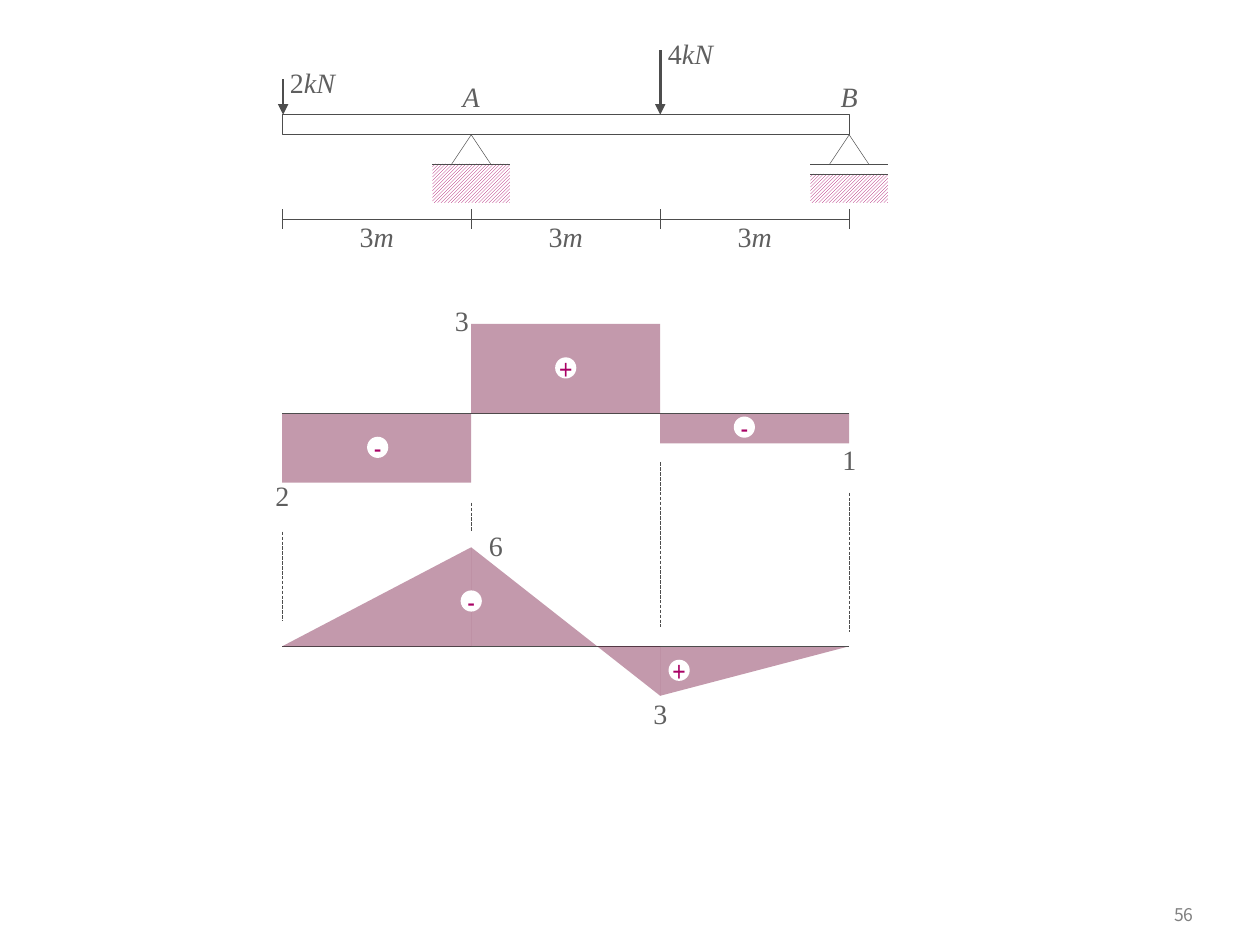
import pptx
import pptx.util
import pptx.dml.color
import pptx.enum.dml
import pptx.enum.shapes
import pptx.enum.text
from dataclasses import dataclass
from typing import Optional
from pptx.oxml import parse_xml
from pptx.oxml.ns import nsdecls, qn

SHAPE = pptx.enum.shapes.MSO_SHAPE
ALIGN = pptx.enum.text.PP_ALIGN
ANCHOR = pptx.enum.text.MSO_ANCHOR
INK, GREY, PINK, WINE, WHITE = "4D4D4D", "5F5F5F", "A90165", "6B0131", "FFFFFF"
SERIF = "Times New Roman"

# Grid: a column is one 3 m bay, a row is a tenth of an inch
LEFT, BAY, ROW = 2.24, 1.5, 0.1
BEAM, GROUND, DIMS, SHEAR, MOMENT = 9.1, 13.0, 17.4, 32.8, 51.3
ROWS_PER_KNM = 1.31
LABEL_H = 2.7


@dataclass
class Label:
    col: float
    row: float              # top of the text
    text: str
    width: float = 0.1      # in columns
    unit: str = ""          # italic ending
    anchor: object = ANCHOR.MIDDLE


@dataclass
class Block:
    col: float
    row: float
    width: float
    height: float
    flip_h: bool = False
    flip_v: bool = False


@dataclass
class Sign:
    col: float
    row: float
    text: str


prs = pptx.Presentation()
prs.slide_width, prs.slide_height = pptx.util.Inches(10), pptx.util.Inches(7.5)
slide = prs.slides.add_slide(prs.slide_layouts[6])


def x(col: float) -> int:
    return pptx.util.Inches(LEFT + col * BAY)


def y(row: float) -> int:
    return pptx.util.Inches(row * ROW)


def color(value: str):
    return pptx.dml.color.RGBColor.from_string(value)


def add_run(p, text, size=16, font=SERIF, fill=GREY, italic=False):
    r = p.add_run()
    r.text = text
    r.font.size, r.font.name, r.font.italic = pptx.util.Pt(size), font, italic
    r.font.color.rgb = color(fill)


def line(c1, r1, c2, r2, weight=0.25, dashed=False, arrow=False):
    s = slide.shapes.add_connector(
        pptx.enum.shapes.MSO_CONNECTOR.STRAIGHT, x(c1), y(r1), x(c2), y(r2))
    s.line.color.rgb, s.line.width = color(INK), pptx.util.Pt(weight)
    if dashed:
        s.line.dash_style = pptx.enum.dml.MSO_LINE.LONG_DASH
    if arrow:
        s.line._get_or_add_ln().append(
            parse_xml(f'<a:tailEnd {nsdecls("a")} type="triangle"/>'))
    s._element.spPr.append(parse_xml(f'<a:effectLst {nsdecls("a")}/>'))


def shape(kind, b: Block, fill: Optional[str] = None, weight: float = 0, alpha: int = 100):
    s = slide.shapes.add_shape(
        kind, x(b.col), y(b.row), pptx.util.Inches(b.width * BAY), y(b.height))
    s.shadow.inherit = False
    if fill:
        s.fill.solid()
        s.fill.fore_color.rgb = color(fill)
    else:
        s.fill.background()
    if alpha < 100:
        clr = s._element.spPr.find(qn("a:solidFill"))[0]
        clr.append(parse_xml(f'<a:alpha {nsdecls("a")} val="{alpha * 1000}"/>'))
    if weight:
        s.line.color.rgb, s.line.width = color(INK), pptx.util.Pt(weight)
    else:
        s.line.fill.background()
    return s


def area(b: Block, kind=SHAPE.RECTANGLE):
    s = shape(kind, b, WINE, alpha=40)
    if kind == SHAPE.ISOSCELES_TRIANGLE:
        s.adjustments[0] = 0
        s._element.spPr.xfrm.set("flipH", str(int(b.flip_h)))
        s._element.spPr.xfrm.set("flipV", str(int(b.flip_v)))


def support(col: float, ground: float):
    half, bottom = 0.205, 16.1
    s = shape(SHAPE.RECTANGLE, Block(col - half, ground, 2 * half, bottom - ground))
    s.fill.patterned()
    s.fill.pattern = pptx.enum.dml.MSO_PATTERN.LIGHT_UPWARD_DIAGONAL
    s.fill.fore_color.rgb, s.fill.back_color.rgb = color(PINK), color(WHITE)
    for row in sorted({GROUND, ground}):
        line(col - half, row, col + half, row)
    shape(SHAPE.ISOSCELES_TRIANGLE, Block(col - 0.105, 10.7, 0.21, 2.36), weight=0.25)


def label(n: Label):
    s = slide.shapes.add_textbox(x(n.col - n.width / 2), y(n.row),
                                 pptx.util.Inches(n.width * BAY), y(LABEL_H))
    tf = s.text_frame
    tf.margin_left = tf.margin_right = tf.margin_top = tf.margin_bottom = 0
    tf.word_wrap, tf.vertical_anchor = False, n.anchor
    p = tf.paragraphs[0]
    p.alignment = ALIGN.CENTER
    if n.text:
        add_run(p, n.text)
    if n.unit:
        add_run(p, n.unit, italic=True)


def sign(n: Sign):
    d = 1.68
    w = d * ROW / BAY
    s = shape(SHAPE.OVAL, Block(n.col - w / 2, n.row - d / 2, w, d), WHITE)
    tf = s.text_frame
    tf.word_wrap, tf.vertical_anchor = False, ANCHOR.MIDDLE
    p = tf.paragraphs[0]
    p.alignment = ALIGN.CENTER
    add_run(p, n.text, font="Arial Narrow", fill=PINK)


# Beam with its supports, loads and dimension line
shape(SHAPE.RECTANGLE, Block(0, BEAM, 3, 1.6), WHITE, weight=0.75)
line(0, DIMS, 3, DIMS)
for node in range(4):
    line(node, DIMS - 0.8, node, DIMS + 0.8)
support(3, GROUND + 0.8)
support(1, GROUND)
for node, top in ((0.005, 6.3), (2, 4.0)):
    line(node, top, node, BEAM, weight=1.5, arrow=True)
for bay in range(3):
    label(Label(bay + 0.5, DIMS, "3", 0.26, "m", ANCHOR.TOP))
for n in (Label(1, 6.3, "", unit="A", anchor=ANCHOR.TOP),
          Label(3, 6.3, "", unit="B", anchor=ANCHOR.TOP),
          Label(0.16, 5.2, "2", 0.31, "kN", ANCHOR.TOP),
          Label(2.16, 2.9, "4", 0.31, "kN", ANCHOR.TOP)):
    label(n)

# Shear force diagram
for b in (Block(0, SHEAR, 1, 5.5), Block(2, SHEAR, 1, 2.4)):
    area(b)
line(0, SHEAR, 3, SHEAR, weight=0.75)
area(Block(1, SHEAR - 7.1, 1, 7.1))
for n in (Sign(0.505, 35.5, "-"), Sign(1.5, 29.2, "+"), Sign(2.445, 33.9, "-")):
    sign(n)

# Bending moment diagram: zero between the second and third bay ends
peak, sag, zero = 6 * ROWS_PER_KNM, 3 * ROWS_PER_KNM, 1 + 6 / 9
TRIANGLE = SHAPE.ISOSCELES_TRIANGLE
area(Block(2, MOMENT, 1, sag, flip_v=True), TRIANGLE)
area(Block(1, MOMENT - peak, zero - 1, peak), TRIANGLE)
line(0, MOMENT, 3, MOMENT, weight=0.75)
area(Block(0, MOMENT - peak, 1, peak, flip_h=True), TRIANGLE)
area(Block(zero, MOMENT, 2 - zero, sag, flip_h=True, flip_v=True), TRIANGLE)
for n in (Sign(2.1, 53.2, "+"), Sign(1, 47.7, "-")):
    sign(n)

# Dashed guides between the diagrams, one per node
for node, (top, bottom) in enumerate(((42.2, 49.3), (39.9, 42.2), (36.7, 49.8), (39.1, 50.2))):
    line(node, top, node, bottom, dashed=True)

# Values on both diagrams
for n in (Label(0, 38, "2"), Label(0.95, 24.1, "3"), Label(3, 35.1, "1"),
          Label(1.13, 41.9, "6", 0.16), Label(2, 55.3, "3")):
    label(n)

# Slide number
s = slide.shapes.add_textbox(*(pptx.util.Inches(v) for v in (8.86, 7.09, 0.71, 0.33)))
s.text_frame.word_wrap, s.text_frame.vertical_anchor = True, ANCHOR.MIDDLE
p = s.text_frame.paragraphs[0]
p.alignment = ALIGN.RIGHT
add_run(p, "56", size=10, font="Noto Sans CJK KR", fill="808080")

prs.save("out.pptx")
